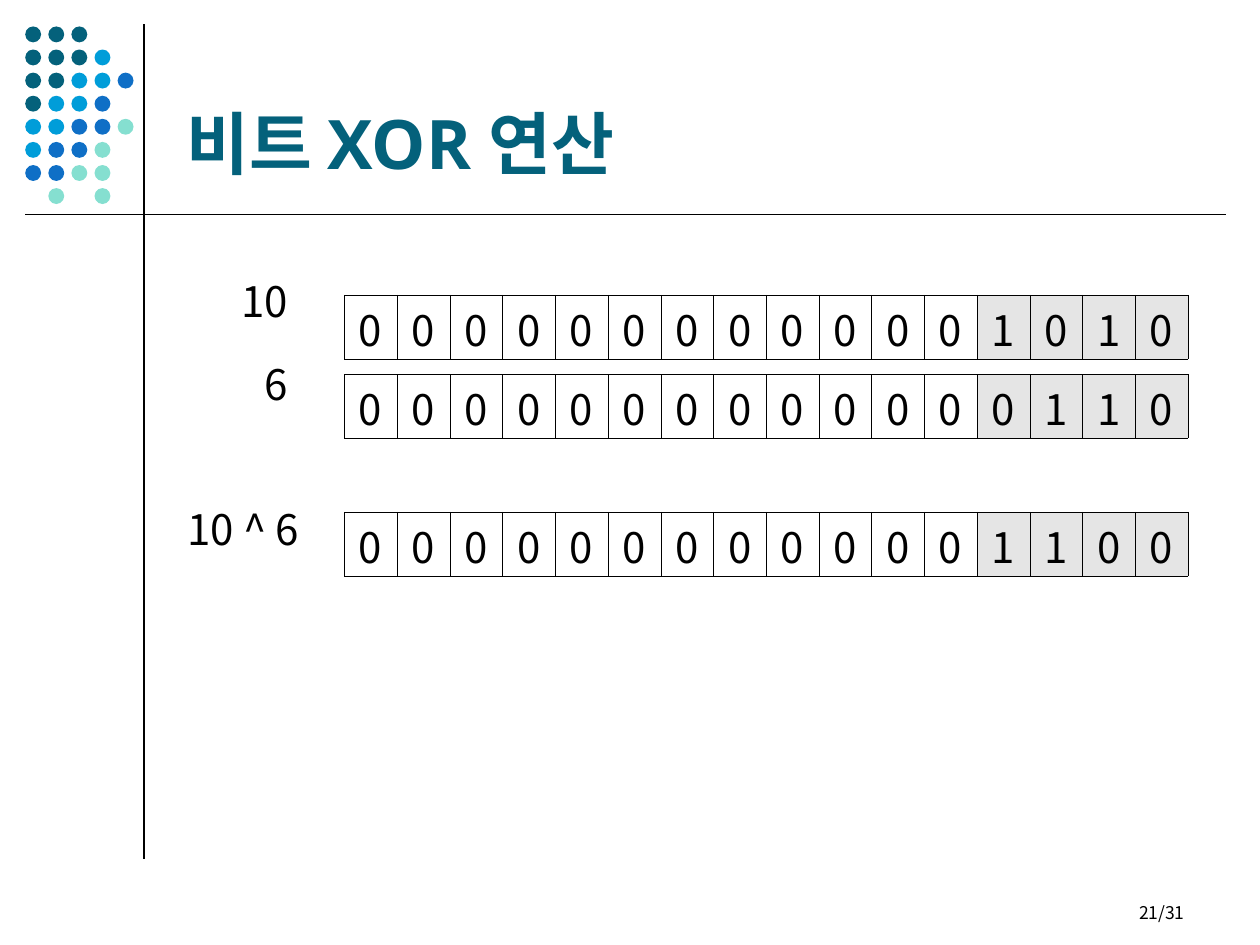
from lxml import etree
from pptx import Presentation
from pptx.dml.color import RGBColor
from pptx.enum import shapes, text
from pptx.oxml import ns
from pptx.util import Pt

BLACK = RGBColor(0x00, 0x00, 0x00)
GRAY = RGBColor(0xE5, 0xE5, 0xE5)
TEAL = RGBColor(0x04, 0x61, 0x7B)
SKY = RGBColor(0x00, 0x9D, 0xD9)
BLUE = RGBColor(0x0F, 0x6F, 0xC6)
MINT = RGBColor(0x85, 0xDF, 0xD0)

SANS = "Noto Sans"
KOREAN = "Noto Sans CJK KR"
HUES = {"T": TEAL, "S": SKY, "B": BLUE, "M": MINT}
DOTS = ["TTT", "TTTS", "TTSSB", "TSSB", "SSBBM", "SBBM", "BBMM", " M M"]
SHADED = 4


def style(para, size, color, face=KOREAN, bold=False):
    for run in para.runs:
        font = run.font
        font.size = Pt(size)
        font.name = face
        font.bold = bold
        font.color.rgb = color
        east = etree.SubElement(run._r.get_or_add_rPr(), ns.qn("a:ea"))
        east.set("typeface", KOREAN)


def add_line(slide, x1, y1, x2, y2):
    line = slide.shapes.add_connector(
        shapes.MSO_CONNECTOR.STRAIGHT, Pt(x1), Pt(y1), Pt(x2), Pt(y2))
    line.line.color.rgb = BLACK
    line.line.width = Pt(0.75)
    etree.SubElement(line._element.spPr, ns.qn("a:effectLst"))


def add_dots(slide, left, top, pitch, size):
    group = slide.shapes.add_group_shape()
    for row, marks in enumerate(DOTS):
        for col, mark in enumerate(marks):
            if mark == " ":
                continue
            dot = group.shapes.add_shape(
                shapes.MSO_SHAPE.OVAL, Pt(left + col * pitch),
                Pt(top + row * pitch), Pt(size), Pt(size))
            dot.shadow.inherit = False
            dot.fill.solid()
            dot.fill.fore_color.rgb = HUES[mark]
            dot.line.fill.background()


def set_title(slide, words):
    title = slide.shapes.title
    title.left, title.top = Pt(99.4), Pt(15.1)
    title.width, title.height = Pt(594), Pt(90.7)
    frame = title.text_frame
    frame.text = words
    frame.word_wrap = True
    frame.auto_size = text.MSO_AUTO_SIZE.NONE
    frame.vertical_anchor = text.MSO_ANCHOR.BOTTOM
    frame.margin_bottom = Pt(1)
    para = frame.paragraphs[0]
    para.alignment = text.PP_ALIGN.LEFT
    style(para, 39, TEAL, SANS, True)


def add_label(slide, words, right, top, width, height, size):
    box = slide.shapes.add_textbox(
        Pt(right - width), Pt(top), Pt(width), Pt(height))
    frame = box.text_frame
    frame.text = words
    frame.word_wrap = True
    frame.vertical_anchor = text.MSO_ANCHOR.MIDDLE
    para = frame.paragraphs[0]
    para.alignment = text.PP_ALIGN.RIGHT
    style(para, size, BLACK)


def add_border(cell):
    props = cell._tc.get_or_add_tcPr()
    for side in ("lnL", "lnR", "lnT", "lnB"):
        edge = etree.SubElement(props, ns.qn("a:" + side), w="762")
        fill = etree.SubElement(edge, ns.qn("a:solidFill"))
        etree.SubElement(fill, ns.qn("a:srgbClr"), val=str(BLACK))


def add_bits(slide, bits, top):
    count = len(bits)
    frame = slide.shapes.add_table(
        1, count, Pt(196.7), Pt(top), Pt(482.2), Pt(36.6))
    table = frame.table
    table.first_row = False
    table.horz_banding = False
    for col, bit in enumerate(bits):
        cell = table.cell(0, col)
        cell.text = bit
        cell.vertical_anchor = text.MSO_ANCHOR.MIDDLE
        cell.margin_top = Pt(1.8)
        cell.margin_bottom = Pt(0)
        para = cell.text_frame.paragraphs[0]
        para.alignment = text.PP_ALIGN.CENTER
        style(para, 24, BLACK)
        add_border(cell)
        if col < count - SHADED:
            cell.fill.background()
        else:
            cell.fill.solid()
            cell.fill.fore_color.rgb = GRAY


def main():
    deck = Presentation()
    deck.slide_width, deck.slide_height = Pt(720), Pt(540)
    slide = deck.slides.add_slide(deck.slide_layouts[5])
    add_line(slide, 82.3, 14, 82.3, 491)
    add_dots(slide, 14.4, 15.1, 13.2, 9.1)
    add_line(slide, 14.4, 122.4, 700.3, 122.4)
    set_title(slide, "비트 XOR 연산")
    rows = [
        ("10", 171.7, 153.8, "0000000000001010", 168.6),
        ("6", 171.7, 201.3, "0000000000000110", 213.8),
        ("10 ^ 6", 178, 284.1, "0000000000001100", 292.6),
    ]
    for words, right, top, bits, level in rows:
        add_label(slide, words, right, top, 100, 36, 24)
        add_bits(slide, bits, level)
    add_label(slide, "21/31", 684, 510.5, 167.8, 21.7, 10)
    deck.save("out.pptx")


if __name__ == "__main__":
    main()
